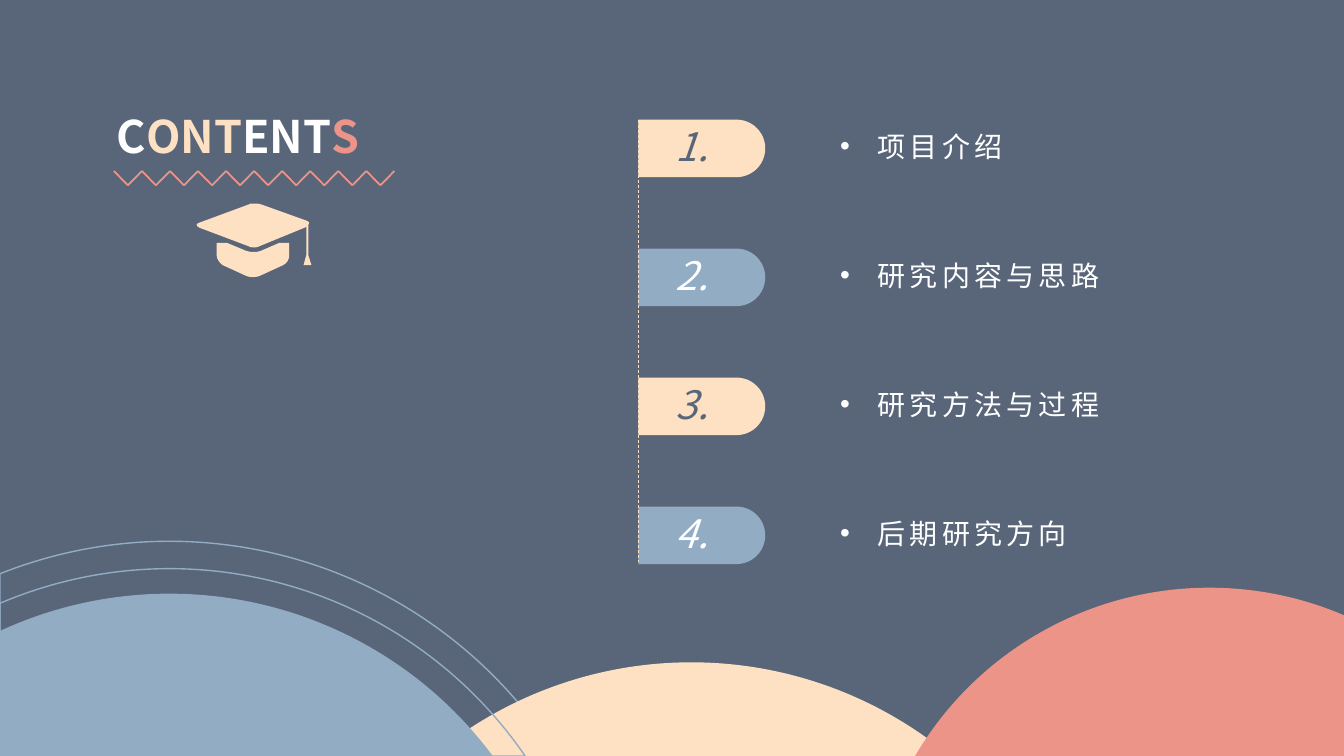
import math

from lxml import etree
from pptx import Presentation
from pptx.dml.color import RGBColor
from pptx.enum.dml import MSO_LINE
from pptx.enum.shapes import MSO_CONNECTOR, MSO_SHAPE
from pptx.enum.text import MSO_AUTO_SIZE, PP_ALIGN
from pptx.oxml.ns import qn
from pptx.util import Cm, Pt

STRAIGHT = MSO_CONNECTOR.STRAIGHT
TAB_SHAPE = MSO_SHAPE.ROUND_2_SAME_RECTANGLE
DASH = MSO_LINE.DASH
GROW = MSO_AUTO_SIZE.SHAPE_TO_FIT_TEXT
CENTER, JUSTIFY = PP_ALIGN.CENTER, PP_ALIGN.JUSTIFY

SLATE = RGBColor(0x59, 0x66, 0x7A)
BLUE = RGBColor(0x92, 0xAC, 0xC4)
CREAM = RGBColor(0xFE, 0xE1, 0xC2)
CORAL = RGBColor(0xED, 0x94, 0x89)
WHITE = RGBColor(0xFF, 0xFF, 0xFF)
FONT = "Noto Sans CJK SC"
WIDTH, HEIGHT = 33.87, 19.05

deck = Presentation()
deck.slide_width, deck.slide_height = Cm(WIDTH), Cm(HEIGHT)
page = deck.slides.add_slide(deck.slide_layouts[6])
page.background.fill.solid()
page.background.fill.fore_color.rgb = SLATE


def add_text_box(left, top, width, height):
    """Add a growing text box, measured in centimetres, and return its paragraph."""
    box = page.shapes.add_textbox(Cm(left), Cm(top), Cm(width), Cm(height))
    box.text_frame.word_wrap = True
    box.text_frame.auto_size = GROW
    return box.text_frame.paragraphs[0]


def add_span(para, text, size, color):
    span = para.add_run()
    span.text = text
    span.font.size = Pt(size)
    span.font.name = FONT
    span.font.color.rgb = color
    etree.SubElement(span.font._element, qn("a:ea"), typeface=FONT)
    return span


# Outlines are lists of contours: pairs are corners, sextets are Bezier curves
outlines = []

# Hills: circles cut off by the slide edges (centre x, top, radius, colour, filled)
for center, top, radius, color, filled in [
    (4.27, 13.64, 11.53, BLUE, False),
    (17.42, 16.69, 10.19, CREAM, True),
    (4.27, 14.96, 10.16, BLUE, True),
    (4.27, 14.33, 10.87, BLUE, False),
    (30.48, 14.81, 8.61, CORAL, True),
]:
    middle = top + radius
    half = math.sqrt(radius ** 2 - (middle - HEIGHT) ** 2)
    start, end = max(0, center - half), min(WIDTH, center + half)
    # Angles run clockwise from the top of the circle
    angles = [math.asin((start - center) / radius), 0, math.asin((end - center) / radius)]
    ends = [(center + radius * math.sin(a), middle - radius * math.cos(a)) for a in angles]
    hill = [ends[0]]
    for index in (0, 1):
        a, b = angles[index:index + 2]
        (x_a, y_a), (x_b, y_b) = ends[index:index + 2]
        reach = radius * 4 / 3 * math.tan((b - a) / 4)
        hill.append((x_a + reach * math.cos(a), y_a + reach * math.sin(a),
                     x_b - reach * math.cos(b), y_b - reach * math.sin(b), x_b, y_b))
    if end == WIDTH:
        hill.append((WIDTH, HEIGHT))
    if start == 0:
        hill.append((0, HEIGHT))
    if end == WIDTH:
        hill.append((center - half, HEIGHT))
    outlines.append(([hill], color, filled))

cap_base = [
    (5.46, 6.12), (5.72, 6.12), (6.2, 6.32),
    (6.27, 6.35, 6.35, 6.35, 6.38, 6.35), (6.45, 6.35, 6.53, 6.35, 6.58, 6.32),
    (7.04, 6.12), (7.29, 6.12), (7.29, 6.43),
    (7.29, 6.53, 7.24, 6.63, 7.14, 6.68), (6.53, 6.96),
    (6.45, 6.99, 6.3, 6.99, 6.22, 6.96), (5.61, 6.68),
    (5.54, 6.63, 5.46, 6.53, 5.46, 6.43),
]
cap_board = [
    (6.4, 5.13), (6.45, 5.13, 6.5, 5.13, 6.55, 5.14), (7.72, 5.56),
    (7.8, 5.59, 7.82, 5.64, 7.77, 5.67), (7.77, 6.43), (7.85, 6.68),
    (7.65, 6.68), (7.72, 6.43), (7.72, 5.72), (6.55, 6.2),
    (6.48, 6.25, 6.32, 6.25, 6.25, 6.2), (5.03, 5.74),
    (4.93, 5.69, 4.93, 5.64, 5.03, 5.61), (6.25, 5.16),
    (6.27, 5.13, 6.35, 5.13, 6.4, 5.13),
]
outlines.append(([cap_base, cap_board], CREAM, True))

for contours, color, filled in outlines:
    builder = page.shapes.build_freeform(Cm(contours[0][0][0]), Cm(contours[0][0][1]))
    for index, contour in enumerate(contours):
        corners = [(Cm(part[-2]), Cm(part[-1])) for part in contour]
        if index:
            builder.move_to(*corners[0])
        builder.add_line_segments(corners[1:], close=True)
    shape = builder.convert_to_shape()
    # Bend the segments that have control points
    outline = next(shape._element.iter(qn("a:path")))
    segments = [item for item in outline if item.tag != qn("a:close")]
    for segment, part in zip(segments, sum(contours, [])):
        if len(part) == 6:
            curve = etree.Element(qn("a:cubicBezTo"))
            for x, y in zip(part[::2], part[1::2]):
                etree.SubElement(curve, qn("a:pt"), x=str(Cm(x) - shape.left),
                                 y=str(Cm(y) - shape.top))
            outline.replace(segment, curve)
    shape.shadow.inherit = False
    if filled:
        shape.fill.solid()
        shape.fill.fore_color.rgb = color
        shape.line.fill.background()
    else:
        shape.fill.background()
        shape.line.color.rgb = color
        shape.line.width = Pt(1)

# Agenda rows
ROW_STEP = 3.25
for row, title in enumerate(["项目介绍", "研究内容与思路", "研究方法与过程", "后期研究方向"]):
    offset = row * ROW_STEP
    tab_color, number_color = [(CREAM, SLATE), (BLUE, WHITE)][row % 2]
    tab = page.shapes.add_shape(
        TAB_SHAPE, Cm(16.96), Cm(2.14 + offset), Cm(1.45), Cm(3.2))
    tab.rotation = 90
    tab.adjustments[0] = 0.5
    tab.adjustments[1] = 0
    tab.shadow.inherit = False
    tab.fill.solid()
    tab.fill.fore_color.rgb = tab_color
    tab.line.fill.background()

    para = add_text_box(20.92, 3.14 + offset, 9.5, 1.12)
    properties = para._p.get_or_add_pPr()
    properties.set("marL", str(Cm(0.95)))
    properties.set("indent", str(-Cm(0.95)))
    etree.SubElement(properties, qn("a:buFont"), typeface="Arial")
    etree.SubElement(properties, qn("a:buChar"), char="•")
    span = add_span(para, title, 20, WHITE)
    span.font._element.set("spc", "300")

    para = add_text_box(15.6, 2.97 + offset, 3.68, 1.45)
    para.alignment = CENTER
    add_span(para, f"{row + 1}.", 28, number_color).font.italic = True

# Heading
para = add_text_box(2.69, 2.62, 7.42, 1.63)
para.alignment = JUSTIFY
for text, color in [("C", WHITE), ("ONT", CREAM), ("ENT", WHITE), ("S", CORAL)]:
    add_span(para, text, 32, color).font.bold = True

# Zigzag under the heading, and the dashed line along the tabs
zigzag = page.shapes.add_group_shape()
ZIGZAG_LEFT, ZIGZAG_WIDTH, STROKES = 2.87, 7.07, 20
levels = (4.31, 4.67)
lines = []
for stroke in range(STROKES):
    x_from, x_to = (ZIGZAG_LEFT + ZIGZAG_WIDTH * n / STROKES for n in (stroke, stroke + 1))
    line = zigzag.shapes.add_connector(
        STRAIGHT, Cm(x_from), Cm(levels[stroke % 2]),
        Cm(x_to), Cm(levels[(stroke + 1) % 2]))
    lines.append((line, CORAL, 1.25))
spine = page.shapes.add_connector(STRAIGHT, Cm(16.08), Cm(3.02), Cm(16.08), Cm(14.17))
spine.line.dash_style = DASH
lines.append((spine, CREAM, 0.5))
for line, color, weight in lines:
    line.line.color.rgb = color
    line.line.width = Pt(weight)
    etree.SubElement(line._element.spPr, qn("a:effectLst"))

deck.save("out.pptx")
